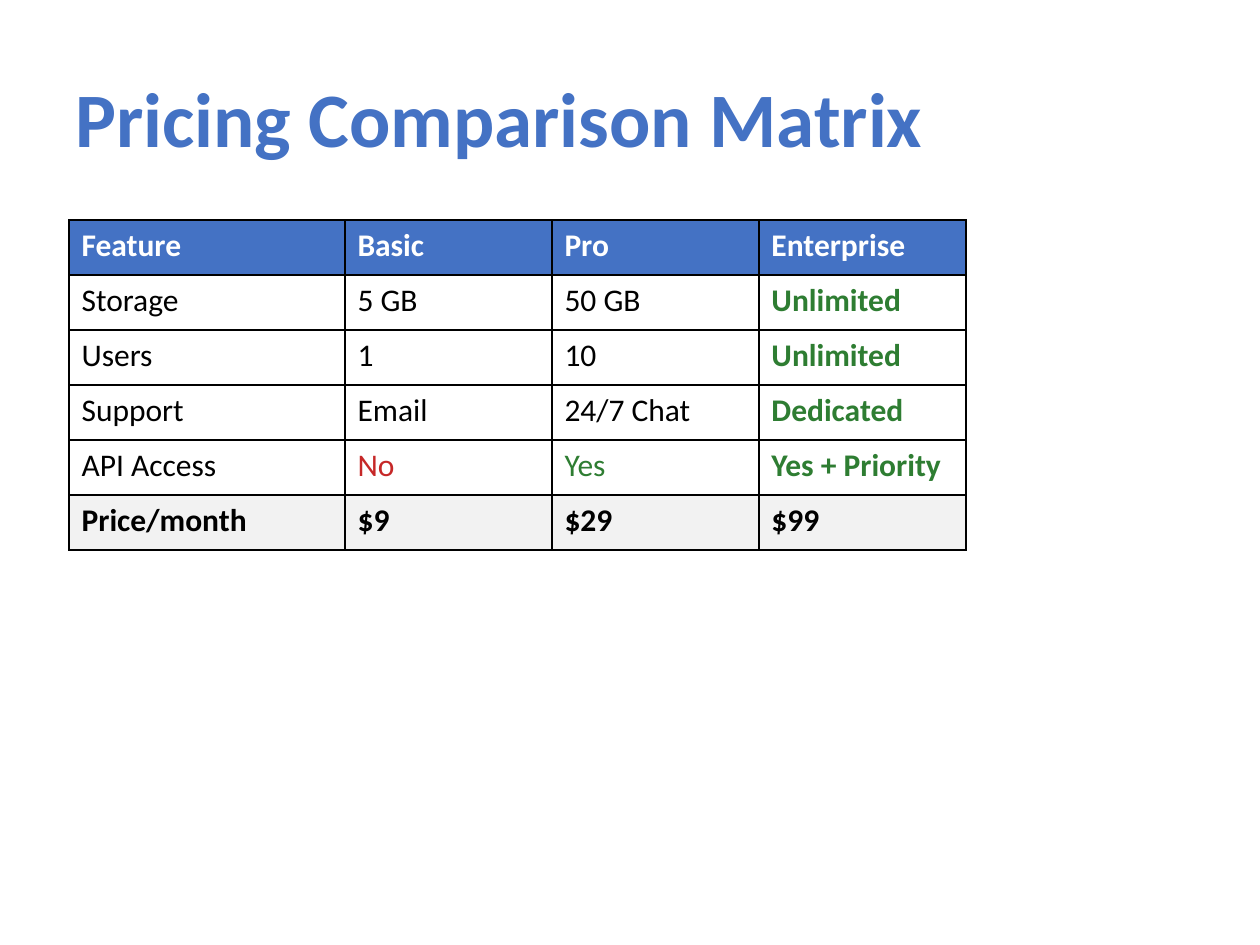
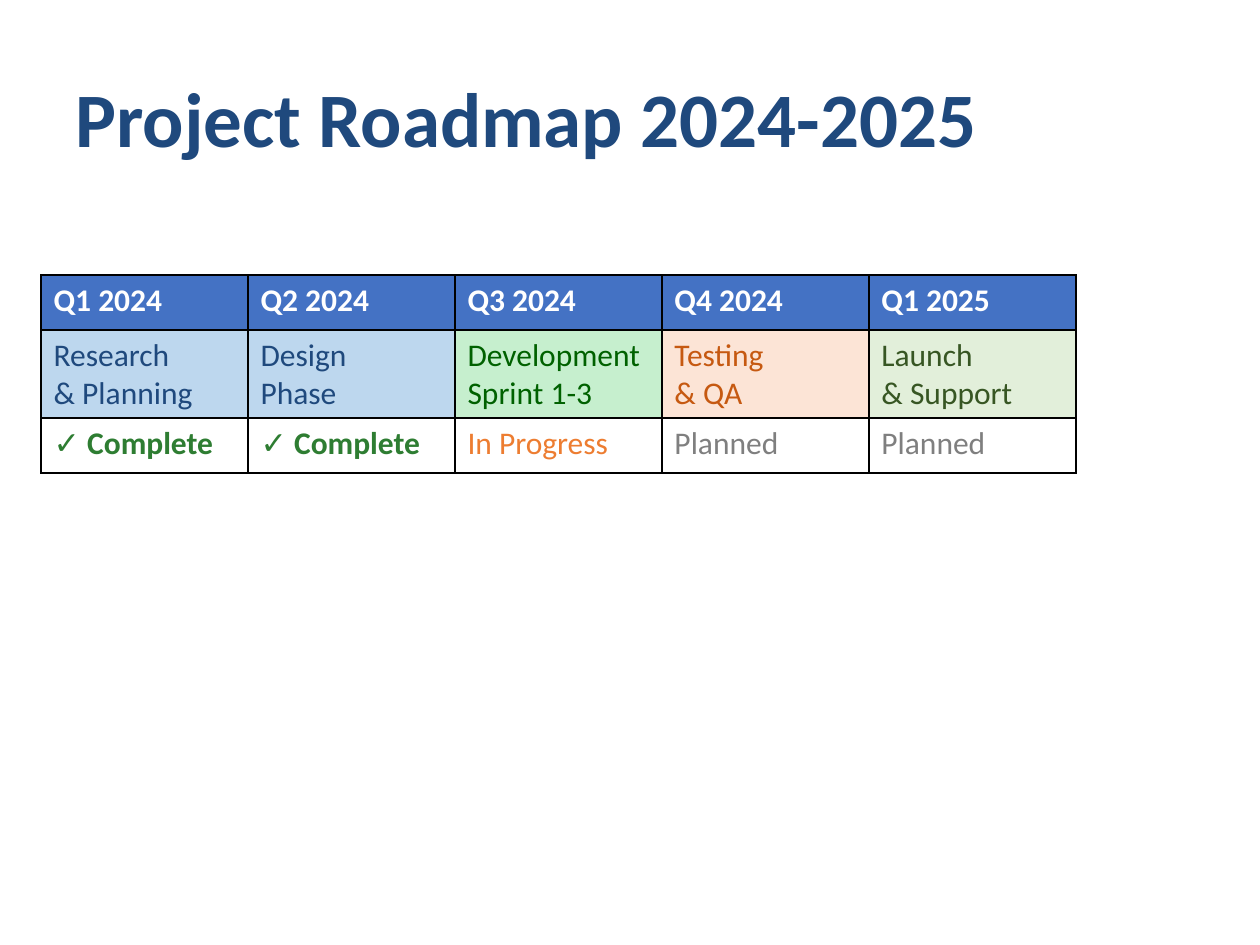
from lxml import etree
from pptx import Presentation
from pptx import util as u
from pptx.dml.color import RGBColor
from pptx.enum import text
from pptx.oxml import ns

# Shared look
PX = 914400 / 126
FONT = "Calibri"
BLUE, NAVY, WHITE, BLACK = "4472C4", "1F497D", "FFFFFF", "000000"
GREEN, RED, ORANGE, GREY = "2E7D32", "C62828", "ED7D31", "7F7F7F"
PALE_BLUE, PALE_GREY = "BDD7EE", "F2F2F2"
TITLE_BOX = (63, 38, 1134, 157)
WIDE_COLUMN, COLUMN, ROW = 276, 207, 55

# Cell styles: text colour, bold, fill
STYLES = {
    "header": (WHITE, True, BLUE),
    "plain": (BLACK, False, None),
    "total": (BLACK, True, PALE_GREY),
    "best": (GREEN, True, None),
    "yes": (GREEN, False, None),
    "no": (RED, False, None),
    "plan": (NAVY, False, PALE_BLUE),
    "build": ("006100", False, "C6EFCE"),
    "test": ("C65911", False, "FCE4D6"),
    "launch": ("375623", False, "E2EFDA"),
    "active": (ORANGE, False, None),
    "later": (GREY, False, None),
}

# Each row: cell texts, then one style for the row or one per cell
FEATURE_STYLES = ["plain", "plain", "plain", "best"]
SLIDES = [
    {
        "title": "Pricing Comparison Matrix",
        "title_color": BLUE,
        "corner": (69, 220),
        "columns": [WIDE_COLUMN] + [COLUMN] * 3,
        "rows": [
            (["Feature", "Basic", "Pro", "Enterprise"], "header"),
            (["Storage", "5 GB", "50 GB", "Unlimited"], FEATURE_STYLES),
            (["Users", "1", "10", "Unlimited"], FEATURE_STYLES),
            (["Support", "Email", "24/7 Chat", "Dedicated"], FEATURE_STYLES),
            (["API Access", "No", "Yes", "Yes + Priority"],
             ["plain", "no", "yes", "best"]),
            (["Price/month", "$9", "$29", "$99"], "total"),
        ],
    },
    {
        "title": "Project Roadmap 2024-2025",
        "title_color": NAVY,
        "corner": (41, 275),
        "columns": [COLUMN] * 5,
        "rows": [
            (["Q1 2024", "Q2 2024", "Q3 2024", "Q4 2024", "Q1 2025"], "header"),
            (["Research\n& Planning", "Design\nPhase",
              "Development\nSprint 1-3", "Testing\n& QA", "Launch\n& Support"],
             ["plan", "plan", "build", "test", "launch"]),
            (["✓ Complete", "✓ Complete", "In Progress", "Planned", "Planned"],
             ["best", "best", "active", "later", "later"]),
        ],
    },
]


def px(length):
    return u.Emu(round(length * PX))


def color(value):
    return RGBColor.from_string(value)


def write(frame, words, size, ink, bold):
    para = frame.paragraphs[0]
    para.text = words
    font = para.font
    font.name, font.size, font.bold = FONT, u.Pt(size), bold
    font.color.rgb = color(ink)


def add_borders(cell):
    properties = cell._tc.get_or_add_tcPr()
    for index, side in enumerate(("lnL", "lnR", "lnT", "lnB")):
        line = etree.Element(ns.qn(f"a:{side}"), w=str(u.Pt(1)))
        fill = etree.SubElement(line, ns.qn("a:solidFill"))
        etree.SubElement(fill, ns.qn("a:srgbClr"), val=BLACK)
        properties.insert(index, line)


def add_title(page, words, ink):
    box = page.shapes.add_textbox(*map(px, TITLE_BOX))
    frame = box.text_frame
    frame.word_wrap = True
    frame.vertical_anchor = text.MSO_ANCHOR.MIDDLE
    write(frame, words, 44, ink, True)


def fill_cell(cell, words, style):
    ink, bold, fill = STYLES[style]
    write(cell.text_frame, words, 18, ink, bold)
    if fill:
        cell.fill.solid()
        cell.fill.fore_color.rgb = color(fill)
    else:
        cell.fill.background()
    add_borders(cell)


def add_grid(page, corner, columns, rows):
    size = (sum(columns), ROW * len(rows))
    table = page.shapes.add_table(
        len(rows), len(columns), *map(px, corner + size)).table
    table.first_row = table.horz_banding = False
    for column, width in zip(table.columns, columns):
        column.width = px(width)
    for row, (words, styles) in zip(table.rows, rows):
        row.height = px(ROW)
        if isinstance(styles, str):
            styles = [styles] * len(words)
        for cell, word, style in zip(row.cells, words, styles):
            fill_cell(cell, word, style)


def main():
    deck = Presentation()
    deck.slide_width, deck.slide_height = px(1260), px(945)
    for content in SLIDES:
        page = deck.slides.add_slide(deck.slide_layouts[6])
        add_title(page, content["title"], content["title_color"])
        add_grid(page, content["corner"], content["columns"], content["rows"])
    deck.save("out.pptx")


if __name__ == "__main__":
    main()
